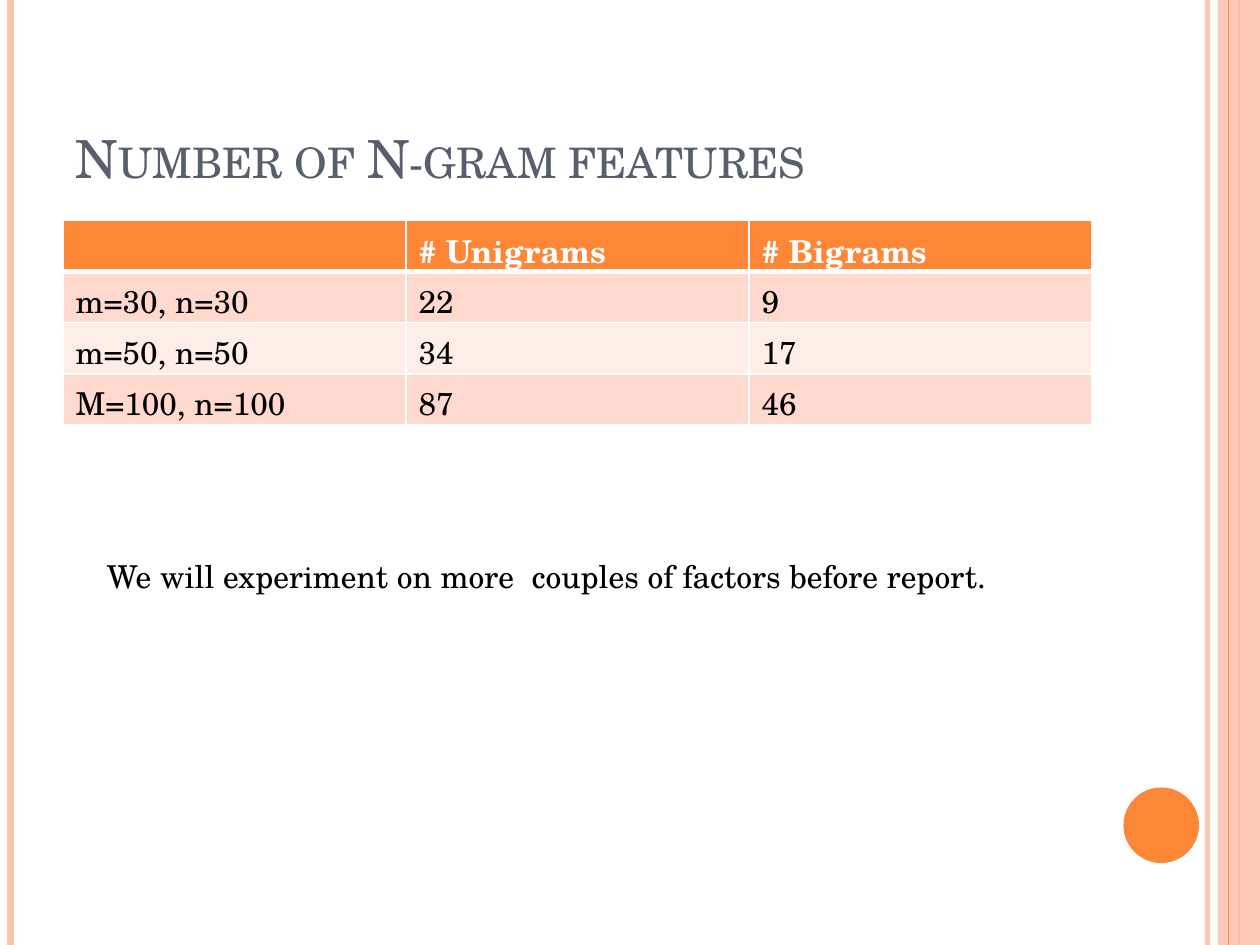
from dataclasses import dataclass

from lxml import etree
from pptx import Presentation
from pptx.dml.color import RGBColor
from pptx.enum import shapes, text
from pptx.oxml import ns
from pptx.util import Pt


@dataclass(frozen=True)
class Theme:
    font: str = "TeX Gyre Schola"
    title_size: float = 30
    body_size: float = 18
    title: str = "575F6D"
    body: str = "000000"
    white: str = "FFFFFF"
    accent: str = "FE8637"
    pale: str = "FEC3AE"
    bands: tuple = ("FFD9CE", "FFEDE8")


THEME = Theme()
WIDTH, HEIGHT = 720, 540
ROWS = [
    ("", "# Unigrams", "# Bigrams"),
    ("m=30, n=30", "22", "9"),
    ("m=50, n=50", "34", "17"),
    ("M=100, n=100", "87", "46"),
]


def paint(fill, color, opacity=100):
    fill.solid()
    fill.fore_color.rgb = RGBColor.from_string(color)
    if opacity < 100:
        set_opacity(fill.fore_color, opacity)


def set_opacity(color_format, opacity):
    color = color_format._xFill.find(ns.qn("a:srgbClr"))
    etree.SubElement(color, ns.qn("a:alpha"), val=str(opacity * 1000))


def style(paragraph, size, color, bold=False):
    font = paragraph.font
    font.name, font.size, font.bold = THEME.font, Pt(size), bold
    font.color.rgb = RGBColor.from_string(color)
    return font


def add_vertical_line(slide, x, color, weight, opacity=100):
    """Draw a line over the full height of the slide."""
    line = slide.shapes.add_connector(
        shapes.MSO_CONNECTOR.STRAIGHT, Pt(x), 0, Pt(x), Pt(HEIGHT))
    line.line.width = Pt(weight)
    paint(line.line.fill, color, opacity)
    etree.SubElement(line._element.spPr, ns.qn("a:effectLst"))


def add_plain_shape(slide, kind, box, color, opacity=100):
    shape = slide.shapes.add_shape(kind, *map(Pt, box))
    shape.shadow.inherit = False
    shape.line.fill.background()
    paint(shape.fill, color, opacity)


def add_text(slide, box, words, size, color, wrap=True, anchor=text.MSO_ANCHOR.TOP):
    frame = slide.shapes.add_textbox(*map(Pt, box)).text_frame
    frame.word_wrap = wrap
    frame.vertical_anchor = anchor
    frame.text = words
    return style(frame.paragraphs[0], size, color)


def add_border(cell, side, weight):
    properties = cell._tc.get_or_add_tcPr()
    line = etree.SubElement(properties, ns.qn(f"a:ln{side}"), w=str(Pt(weight)))
    fill = etree.SubElement(line, ns.qn("a:solidFill"))
    etree.SubElement(fill, ns.qn("a:srgbClr"), val=THEME.white)


def add_feature_table(slide, box):
    table = slide.shapes.add_table(len(ROWS), len(ROWS[0]), *map(Pt, box)).table
    for row, values in enumerate(ROWS):
        header = row == 0
        fill = THEME.accent if header else THEME.bands[(row - 1) % 2]
        for column, value in enumerate(values):
            cell = table.cell(row, column)
            borders = {"L": 1, "R": 1, "T": 3 if row == 1 else 1, "B": 3 if header else 1}
            for side, weight in borders.items():
                add_border(cell, side, weight)
            paint(cell.fill, fill)
            cell.text = value
            style(cell.text_frame.paragraphs[0], THEME.body_size,
                  THEME.white if header else THEME.body, bold=header)


def add_frame(slide):
    """Add the stripes along both edges and the dot."""
    add_vertical_line(slide, 690, THEME.pale, 3, opacity=93)
    add_vertical_line(slide, 6, THEME.pale, 4.5)
    add_vertical_line(slide, 708, THEME.accent, 1.5)
    add_plain_shape(slide, shapes.MSO_SHAPE.RECTANGLE,
                    (696, 0, 24, HEIGHT), THEME.pale, opacity=87)
    add_vertical_line(slide, 702, THEME.accent, 0.75)
    add_plain_shape(slide, shapes.MSO_SHAPE.OVAL, (642, 450, 43.2, 43.2), THEME.accent)


def main():
    presentation = Presentation()
    presentation.slide_width, presentation.slide_height = Pt(WIDTH), Pt(HEIGHT)
    slide = presentation.slides.add_slide(presentation.slide_layouts[6])
    add_frame(slide)
    title_font = add_text(slide, (36, 21.6, 588, 90), "Number of N-gram features",
                          THEME.title_size, THEME.title, anchor=text.MSO_ANCHOR.BOTTOM)
    title_font._element.set("cap", "small")
    add_feature_table(slide, (36, 126, 588, 116.8))
    add_text(slide, (54, 315, 553, 29),
             "We will experiment on more  couples of factors before report.",
             THEME.body_size, THEME.body, wrap=False)
    presentation.save("out.pptx")


if __name__ == "__main__":
    main()
